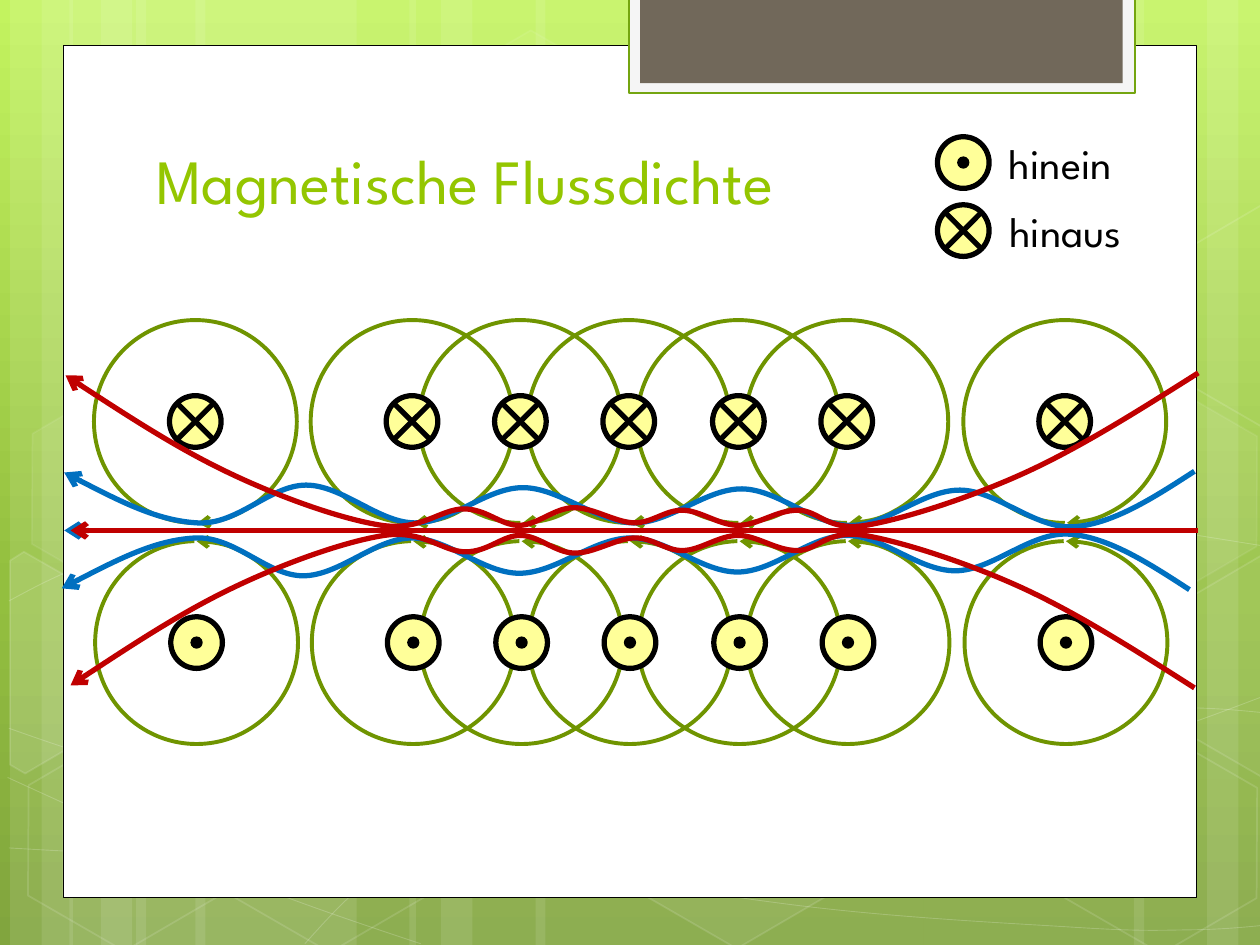
from copy import deepcopy
from dataclasses import dataclass
from typing import NamedTuple, Optional

from pptx import Presentation, util as u
from pptx.dml.color import RGBColor
from pptx.enum import shapes, text
from pptx.oxml.ns import qn
from lxml import etree

FONT = "League Spartan"
WHITE, BLACK, BLUE, RED = "FFFFFF", "000000", "0070C0", "C00000"
FIELD_GREEN, WIRE_YELLOW, TITLE_GREEN = "6F9400", "FFFF99", "94C600"
KIND = shapes.MSO_SHAPE

# All positions are in inches; length() turns them into centimetres
SLIDE_WIDTH, SLIDE_HEIGHT = 10, 7.5
COIL_AXIS = 4.21
RING_RADIUS, WIRE_RADIUS, DOT_RADIUS, CROSS_ARM = 0.805, 0.205, 0.04, 0.145
WIRE_CENTERS = (1.55, 3.27, 4.13, 4.99, 5.86, 6.72, 8.45)


@dataclass
class Style:
    """Fill and outline; opacities in percent, line width in points."""
    fill: Optional[str] = None
    line: Optional[str] = None
    width: float = 1
    fill_opacity: int = 100
    line_opacity: int = 100
    head: bool = False
    tail: bool = False


class Point(NamedTuple):
    x: float
    y: float


class WireRow(NamedTuple):
    """A row of conductors, each ringed by a field line."""
    shift: float
    center_y: float
    outward: bool


class Hexagon(NamedTuple):
    left: float
    top: float
    fill_opacity: int
    line_opacity: int


class Legend(NamedTuple):
    label: str
    top: float
    width: float
    outward: bool


class FieldLines(NamedTuple):
    """Upper line from right to left; the lower one is its mirror image."""
    color: str
    upper: list
    lower_start: float
    lower_end: float
    axis_start: float
    axis_end: float


def points(*coordinates: tuple) -> list:
    return [Point(x, y) for x, y in coordinates]


WIRE_ROWS = (WireRow(0, 3.345, True), WireRow(0.01, 5.1, False))
LEGENDS = (Legend("hinein", 1.04, 1.17, False), Legend("hinaus", 1.58, 1.25, True))
# Blue swings once per gap; red ripples only between the dense middle wires
FIELDS = (
    FieldLines(BLUE, points(
        (9.48, 3.74), (8.53, 4.18), (7.62, 3.89), (6.75, 4.17), (5.89, 3.88), (5.03, 4.15),
        (4.15, 3.87), (3.29, 4.15), (2.43, 3.85), (1.57, 4.15), (0.51, 3.75)),
        9.44, 0.49, 9.48, 0.51),
    FieldLines(RED, points(
        (9.51, 2.96), (8.14, 3.75), (6.87, 4.17), (6.33, 4.05), (5.86, 4.17), (5.42, 4.05),
        (5.03, 4.15), (4.55, 4.03), (4.12, 4.17), (3.68, 4.04), (3.03, 4.17), (1.83, 3.76),
        (0.52, 2.98)), 9.48, 0.56, 9.51, 0.56),
)
# Anchors that the thin background curves pass through
BACKGROUND_CURVES = (
    points((0.07, 6.73), (1.9, 6.78), (4.58, 6.65), (7.92, 6.17), (10.07, 5.51)),
    points((0.07, 4.77), (1.21, 4.31), (3.47, 3.87), (6.54, 3.87), (10.07, 4.34)),
    points((0.06, 6.17), (1.83, 6.95), (3.34, 7.49)),
    points((0.07, 5.78), (1.28, 6.16), (3.57, 6.73), (6.28, 7.18), (8.53, 7.36),
           (9.45, 7.38), (10.07, 7.34)),
    points((2.42, 7.49), (3.02, 6.91), (3.88, 6.39), (4.7, 6.09), (6.08, 5.78), (6.8, 5.69),
           (7.94, 5.62), (8.86, 5.62), (9.53, 5.62), (10.06, 5.66)),
)
HEXAGONS = (
    Hexagon(3.34, 0.36, 4, 8), Hexagon(4.97, 5.89, 6, 12), Hexagon(0.11, 5.91, 0, 12),
    Hexagon(0.14, 3.12, 7, 8), Hexagon(1.74, 5.92, 0, 12), Hexagon(7.53, 4.53, 10, 12),
    Hexagon(8.34, 5.93, 0, 12), Hexagon(8.34, 3.14, 7, 8),
)
LEFT_CUT_HEXAGON = points((0.08, 4.45), (0.19, 4.38), (0.96, 4.82), (0.95, 5.7),
                          (0.2, 6.14), (0.08, 6.07))
RIGHT_CUT_HEXAGON = points((9.26, 4.85), (10.01, 4.41), (10.09, 4.46), (10.09, 6.13),
                           (10.02, 6.17), (9.26, 5.73))


def length(inches: float) -> int:
    return u.Cm(inches * 2.54)


def set_color(color_format, value: str) -> None:
    color_format.rgb = RGBColor.from_string(value)


def set_opacity(parent, percent: int) -> None:
    if percent < 100:
        color = parent.find(f"{qn('a:solidFill')}/{qn('a:srgbClr')}")
        etree.SubElement(color, qn("a:alpha"), val=str(percent * 1000))


def apply_line(shape, style: Style) -> None:
    if not style.line:
        shape.line.fill.background()
        return
    set_color(shape.line.color, style.line)
    shape.line.width = u.Pt(style.width)
    line = shape.element.spPr.find(qn("a:ln"))
    set_opacity(line, style.line_opacity)
    for end, wanted in (("a:headEnd", style.head), ("a:tailEnd", style.tail)):
        if wanted:
            etree.SubElement(line, qn(end), type="arrow")


def apply_style(shape, style: Style) -> None:
    shape.shadow.inherit = False
    if style.fill and style.fill_opacity:
        shape.fill.solid()
        set_color(shape.fill.fore_color, style.fill)
        set_opacity(shape.element.spPr, style.fill_opacity)
    else:
        shape.fill.background()
    apply_line(shape, style)


def add_preset(slide, kind, box: tuple, style: Style, rotation=0, adjust=()) -> None:
    shape = slide.shapes.add_shape(kind, *map(length, box))
    for index, value in enumerate(adjust):
        shape.adjustments[index] = value
    shape.rotation = rotation
    apply_style(shape, style)


def add_circle(slide, center: Point, radius: float, style: Style, kind=KIND.OVAL, **options):
    box = (center.x - radius, center.y - radius, 2 * radius, 2 * radius)
    add_preset(slide, kind, box, style, **options)


def add_line(slide, start: Point, end: Point, style: Style) -> None:
    connector = slide.shapes.add_connector(
        shapes.MSO_CONNECTOR.STRAIGHT, *map(length, start + end))
    apply_line(connector, style)
    etree.SubElement(connector.element.spPr, qn("a:effectLst"))


def add_outline(slide, corners: list, style: Style, close=False):
    start, *others = [(length(x), length(y)) for x, y in corners]
    builder = slide.shapes.build_freeform(*start, scale=1.0)
    builder.add_line_segments(others, close=close)
    shape = builder.convert_to_shape()
    apply_style(shape, style)
    return shape


def spline(anchors: list) -> list:
    """Bézier points of a Catmull-Rom curve through the anchors."""
    def middle(a: Point, b: Point) -> Point:
        return Point((a.x + b.x) / 2, (a.y + b.y) / 2)

    bezier = [anchors[0]]
    for before, anchor, after in zip(anchors, anchors[1:], anchors[2:]):
        dx, dy = (after.x - before.x) / 6, (after.y - before.y) / 6
        arriving = Point(anchor.x - dx, anchor.y - dy)
        leaving = Point(anchor.x + dx, anchor.y + dy)
        if len(bezier) == 1:
            bezier.append(middle(bezier[0], arriving))
        bezier += [arriving, anchor, leaving]
    return bezier + [middle(bezier[-1], anchors[-1]), anchors[-1]]


def add_curve(slide, anchors: list, style: Style) -> None:
    """Draw straight steps, then join each three into one Bézier segment."""
    shape = add_outline(slide, spline(anchors), style)
    path = next(shape.element.iter(qn("a:path")))
    for index, step in enumerate(path.findall(qn("a:lnTo"))):
        if index % 3 == 0:
            curve = etree.SubElement(path, qn("a:cubicBezTo"))
        curve.append(step[0])
        path.remove(step)


def add_text(slide, content: str, box: tuple, *, size: float, color: str,
             wrap=False, top_inset=0.05) -> None:
    frame = slide.shapes.add_textbox(*map(length, box)).text_frame
    frame.word_wrap = wrap
    frame.vertical_anchor = text.MSO_ANCHOR.TOP
    frame.margin_top = length(top_inset)
    paragraph = frame.paragraphs[0]
    paragraph.text = content
    paragraph.font.name = FONT
    paragraph.font.size = u.Pt(size)
    set_color(paragraph.font.color, color)


def add_wire(slide, center: Point, outward: bool) -> None:
    """Conductor seen end-on: a cross or a dot inside a circle."""
    add_circle(slide, center, WIRE_RADIUS, Style(WIRE_YELLOW, BLACK, 3))
    if not outward:
        add_circle(slide, center, DOT_RADIUS, Style(BLACK, BLACK, 1.25))
        return
    for rise in (CROSS_ARM, -CROSS_ARM):
        add_line(slide, Point(center.x - CROSS_ARM, center.y - rise),
                 Point(center.x + CROSS_ARM, center.y + rise), Style(line=BLACK, width=3))


def draw_gradient(slide) -> None:
    fill = slide.background.fill
    fill.gradient()
    fill.gradient_angle = 270
    stop_list = next(slide.element.iter(qn("a:gsLst")))
    stop_list.append(deepcopy(stop_list[-1]))
    colors = ((0, "C3F35F"), (0.62, "93BF3F"), (1, "81A53E"))
    for stop, (position, color) in zip(fill.gradient_stops, colors):
        stop.position = position
        set_color(stop.color, color)


def draw_stripes(slide) -> None:
    """Sets of a narrow, a medium and a wide stripe; one set runs leftwards."""
    for edge, wide, leftwards in ((0.08, 1.75, False), (0.55, 1.75, False),
                                  (10.08, 1.75, True), (3.25, 3.08, False)):
        for offset, width in ((1, wide), (0, 0.5), (0.25, 0.83)):
            left = edge - offset - width if leftwards else edge + offset
            add_preset(slide, KIND.RECTANGLE, (left, 0, width, SLIDE_HEIGHT),
                       Style(WHITE, fill_opacity=10))


def draw_ornaments(slide) -> None:
    for anchors in BACKGROUND_CURVES:
        add_curve(slide, anchors, Style(line=WHITE, width=0.5, line_opacity=20))
    for hexagon in HEXAGONS:
        style = Style(WHITE, WHITE, 1, hexagon.fill_opacity, hexagon.line_opacity)
        add_preset(slide, KIND.HEXAGON, (hexagon.left, hexagon.top, 1.75, 1.52), style,
                   rotation=30, adjust=(0.285, 1.155))
    # Hexagons cut by the slide edge; the right one repeats higher up
    for corners, rise, opacity in ((LEFT_CUT_HEXAGON, 0, 10), (RIGHT_CUT_HEXAGON, 0, 4),
                                   (RIGHT_CUT_HEXAGON, 2.78, 0)):
        raised = [Point(x, y - rise) for x, y in corners]
        add_outline(slide, raised, Style(WHITE, WHITE, 1, opacity, 12), close=True)


def draw_panel(slide) -> None:
    """White panel with the framed tab at its top."""
    for box, style in (((0.5, 0.36, 9, 6.76), Style(WHITE, BLACK, 0.5)),
                       ((4.99, -0.02, 4.02, 0.76), Style("F5F5F5", "74A510", 1.25)),
                       ((5.08, -0.02, 3.83, 0.68), Style("71685A"))):
        add_preset(slide, KIND.RECTANGLE, box, style)


def draw_coil(slide) -> None:
    """Rings first, so that every conductor lies on top of them."""
    wires = [(Point(x + row.shift, row.center_y), row.outward)
             for row in WIRE_ROWS for x in WIRE_CENTERS]
    for center, outward in wires:
        style = Style(line=FIELD_GREEN, width=2.25, head=not outward, tail=outward)
        add_circle(slide, center, RING_RADIUS, style, kind=KIND.ARC,
                   rotation=180 if outward else 0, adjust=(162, 161.25))
    for center, outward in wires:
        add_wire(slide, center, outward)


def mirror(field: FieldLines) -> list:
    """Reflect the upper line in the coil axis, fitted between the lower ends."""
    start, end = field.upper[0].x, field.upper[-1].x
    scale = (field.lower_end - field.lower_start) / (end - start)
    return [Point(field.lower_start + (x - start) * scale, 2 * COIL_AXIS - y)
            for x, y in field.upper]


def draw_field(slide, field: FieldLines) -> None:
    style = Style(line=field.color, width=3, tail=True)
    for anchors in (field.upper, mirror(field)):
        add_curve(slide, anchors, style)
    add_line(slide, Point(field.axis_start, COIL_AXIS), Point(field.axis_end, COIL_AXIS), style)


def main() -> None:
    presentation = Presentation()
    presentation.slide_width = length(SLIDE_WIDTH)
    presentation.slide_height = length(SLIDE_HEIGHT)
    slide = presentation.slides.add_slide(presentation.slide_layouts[6])

    # Backdrop
    for draw in (draw_gradient, draw_stripes, draw_ornaments, draw_panel):
        draw(slide)

    # Title and legend
    add_text(slide, "Magnetische Flussdichte", (1.14, 1.12, 7.68, 1.25), size=36,
             color=TITLE_GREEN, wrap=True, top_inset=0)
    for legend in LEGENDS:
        add_wire(slide, Point(7.645, legend.top + 0.25), legend.outward)
        add_text(slide, legend.label, (7.91, legend.top, legend.width, 0.5),
                 size=24, color=BLACK)

    # Coil and its resulting field
    draw_coil(slide)
    for field in FIELDS:
        draw_field(slide, field)
    presentation.save("out.pptx")


if __name__ == "__main__":
    main()
